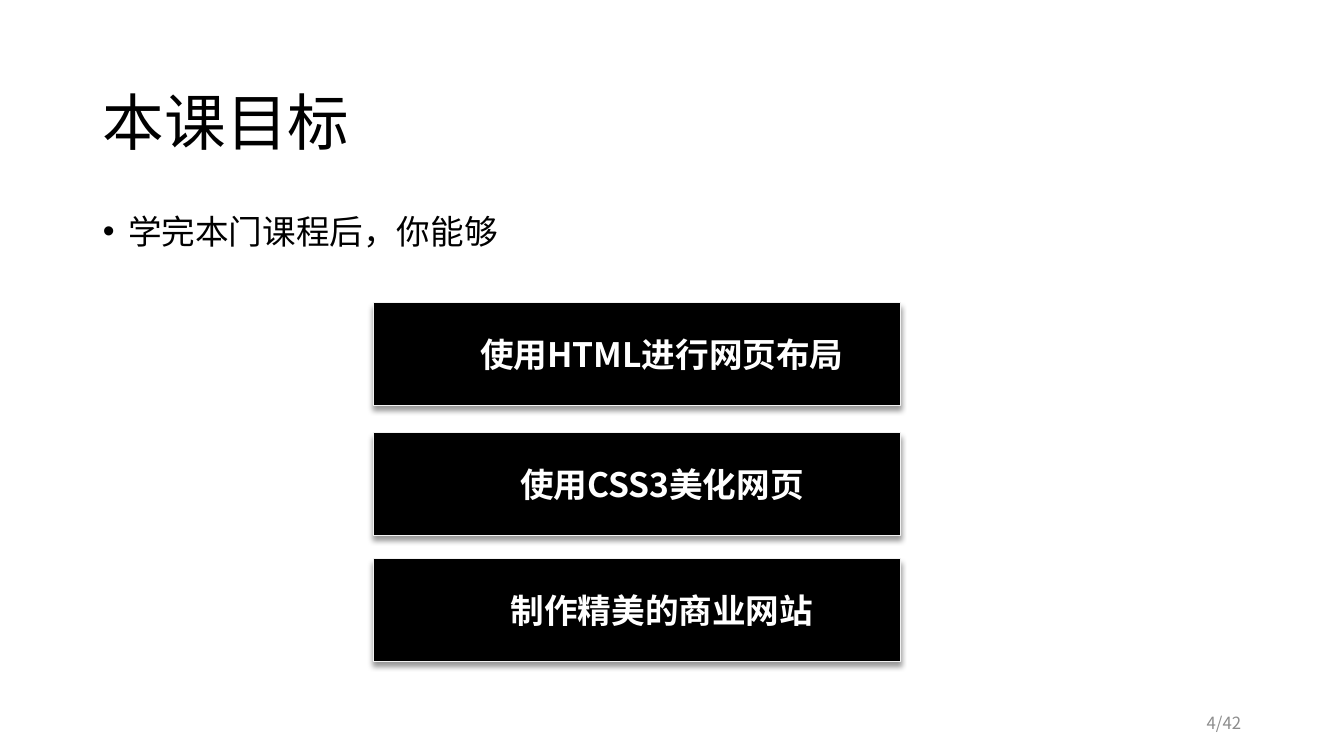
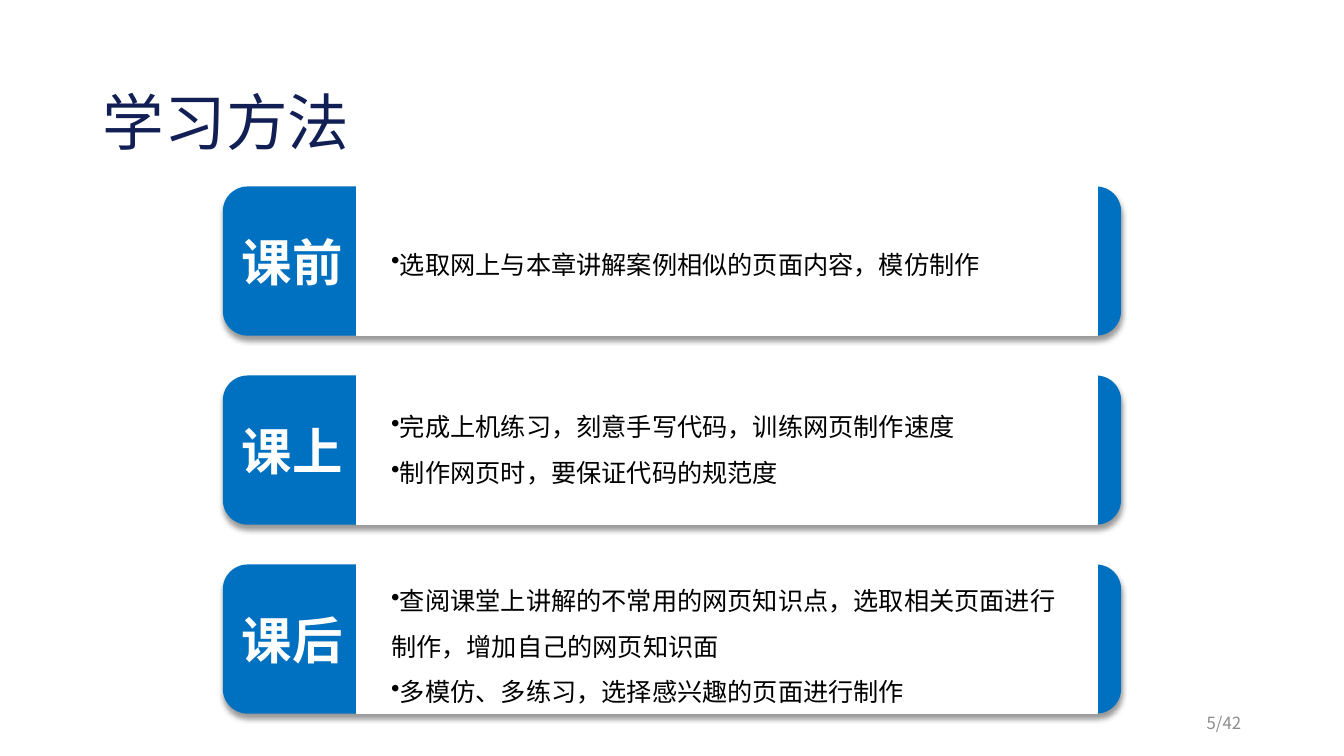
from dataclasses import dataclass

from lxml import etree
from pptx import Presentation
from pptx import util as u
from pptx.dml.color import RGBColor
from pptx.enum import shapes, text
from pptx.oxml import ns


@dataclass(frozen=True)
class Theme:
    font: str = "Noto Sans CJK SC"
    black: str = "000000"
    white: str = "FFFFFF"
    navy: str = "121F55"
    blue: str = "0070C0"
    pale: str = "F2F2F2"
    grey: str = "8C8C8C"
    title: int = 44
    label: int = 36
    lead: int = 24
    body: int = 18
    footer: int = 12


THEME = Theme()
WIDTH, HEIGHT = 13.33, 7.5
MARGIN = 0.92
PAGE_TOTAL = 42
TITLE_ONLY, TITLE_AND_BODY = 5, 1

GOALS_TITLE = "本课目标"
GOALS_LEAD = "学完本门课程后，你能够"
# Top edge and wording of each bar
GOALS = [
    (3.0, "使用HTML进行网页布局"),
    (4.29, "使用CSS3美化网页"),
    (5.54, "制作精美的商业网站"),
]

METHODS_TITLE = "学习方法"
# Label, distance of the text from the card's top, points
METHODS = [
    ("课前", 0.42, ["选取网上与本章讲解案例相似的页面内容，模仿制作"]),
    ("课上", 0.16, ["完成上机练习，刻意手写代码，训练网页制作速度",
                  "制作网页时，要保证代码的规范度"]),
    ("课后", 0.01, ["查阅课堂上讲解的不常用的网页知识点，选取相关页面进行制作，增加自己的网页知识面",
                  "多模仿、多练习，选择感兴趣的页面进行制作"]),
]
CARD_TOP, CARD_PITCH = 1.85, 1.875
CARD_LEFT, CARD_WIDTH, CARD_HEIGHT = 2.21, 8.91, 1.48


def inches(*lengths):
    return [u.Inches(length) for length in lengths]


def place(shape, *area):
    shape.left, shape.top, shape.width, shape.height = inches(*area)


def write(shape, lines, size, color, bold=False, align=text.PP_ALIGN.LEFT,
          spacing=1.0, anchor=text.MSO_ANCHOR.TOP, wrap=True, bullet=False,
          margin=0, indent=0):
    """Fill a shape with equally formatted paragraphs."""
    frame = shape.text_frame
    frame.auto_size = text.MSO_AUTO_SIZE.NONE
    frame.word_wrap = wrap
    frame.vertical_anchor = anchor
    frame.text = "\n".join(lines)
    for para in frame.paragraphs:
        para.alignment = align
        para.line_spacing = spacing
        para.space_before = u.Pt(0)
        props = para._p.get_or_add_pPr()
        props.set("marL", str(u.Inches(margin)))
        props.set("indent", str(u.Inches(indent)))
        if bullet:
            etree.SubElement(props, ns.qn("a:buChar"), char="•")
        font = para.font
        font.size, font.bold, font.name = u.Pt(size), bold, THEME.font
        font.color.rgb = RGBColor.from_string(color)
        etree.SubElement(font._element, ns.qn("a:ea"), typeface=THEME.font)


def add_block(owner, kind, area, fill, line=None, line_width=1, shadow=False):
    block = owner.shapes.add_shape(kind, *inches(*area))
    block.shadow.inherit = False
    block.fill.solid()
    block.fill.fore_color.rgb = RGBColor.from_string(fill)
    if line:
        block.line.color.rgb = RGBColor.from_string(line)
        block.line.width = u.Pt(line_width)
    else:
        block.line.fill.background()
    if shadow:
        effects = block._element.spPr.find(ns.qn("a:effectLst"))
        outer = etree.SubElement(
            effects, ns.qn("a:outerShdw"), blurRad=str(u.Pt(4)),
            dist=str(u.Pt(3)), dir="5400000", algn="t", rotWithShape="0")
        tone = etree.SubElement(outer, ns.qn("a:srgbClr"), val=THEME.black)
        etree.SubElement(tone, ns.qn("a:alpha"), val="40000")
    return block


def add_text(owner, area, lines, size, color, **style):
    box = owner.shapes.add_textbox(*inches(*area))
    write(box, lines, size, color, **style)


def add_page(deck, layout, title, color, number):
    page = deck.slides.add_slide(deck.slide_layouts[layout])
    place(page.shapes.title, MARGIN, 0.4, WIDTH - 2 * MARGIN, 1.45)
    write(page.shapes.title, [title], THEME.title, color, spacing=1.2,
          anchor=text.MSO_ANCHOR.MIDDLE)
    add_text(page, (WIDTH - MARGIN - 3, 6.95, 3, 0.4),
             [f"{number}/{PAGE_TOTAL}"], THEME.footer, THEME.grey, spacing=1.2,
             align=text.PP_ALIGN.RIGHT, anchor=text.MSO_ANCHOR.MIDDLE)
    return page


def add_goals(deck):
    page = add_page(deck, TITLE_AND_BODY, GOALS_TITLE, THEME.black, 4)
    body = page.placeholders[1]
    place(body, MARGIN, 1.96, WIDTH - 2 * MARGIN, 4.76)
    write(body, [GOALS_LEAD], THEME.lead, THEME.black, spacing=1.2,
          bullet=True, margin=0.25, indent=-0.25)
    for top, goal in GOALS:
        bar = add_block(page, shapes.MSO_SHAPE.RECTANGLE, (3.7, top, 5.23, 1.02),
                        THEME.black, THEME.pale, 0.75, shadow=True)
        write(bar, [goal], THEME.lead, THEME.white, bold=True,
              align=text.PP_ALIGN.CENTER, anchor=text.MSO_ANCHOR.MIDDLE,
              margin=0.81, indent=-0.31)


def add_methods(deck):
    page = add_page(deck, TITLE_ONLY, METHODS_TITLE, THEME.navy, 5)
    for row, (label, offset, points) in enumerate(METHODS):
        top = CARD_TOP + row * CARD_PITCH
        card = page.shapes.add_group_shape()
        add_block(card, shapes.MSO_SHAPE.ROUNDED_RECTANGLE,
                  (CARD_LEFT, top, CARD_WIDTH, CARD_HEIGHT), THEME.blue, shadow=True)
        add_block(card, shapes.MSO_SHAPE.RECTANGLE,
                  (3.54, top, 7.34, CARD_HEIGHT), THEME.white, THEME.white)
        add_text(card, (2.3, top + 0.39, 1.2, 0.71), [label], THEME.label,
                 THEME.white, bold=True, align=text.PP_ALIGN.CENTER, wrap=False)
        add_text(card, (3.78, top + offset, 6.95, CARD_HEIGHT - 2 * offset),
                 points, THEME.body, THEME.black, spacing=1.5, bullet=True)


def main():
    deck = Presentation()
    deck.slide_width, deck.slide_height = inches(WIDTH, HEIGHT)
    add_goals(deck)
    add_methods(deck)
    deck.save("out.pptx")


if __name__ == "__main__":
    main()
